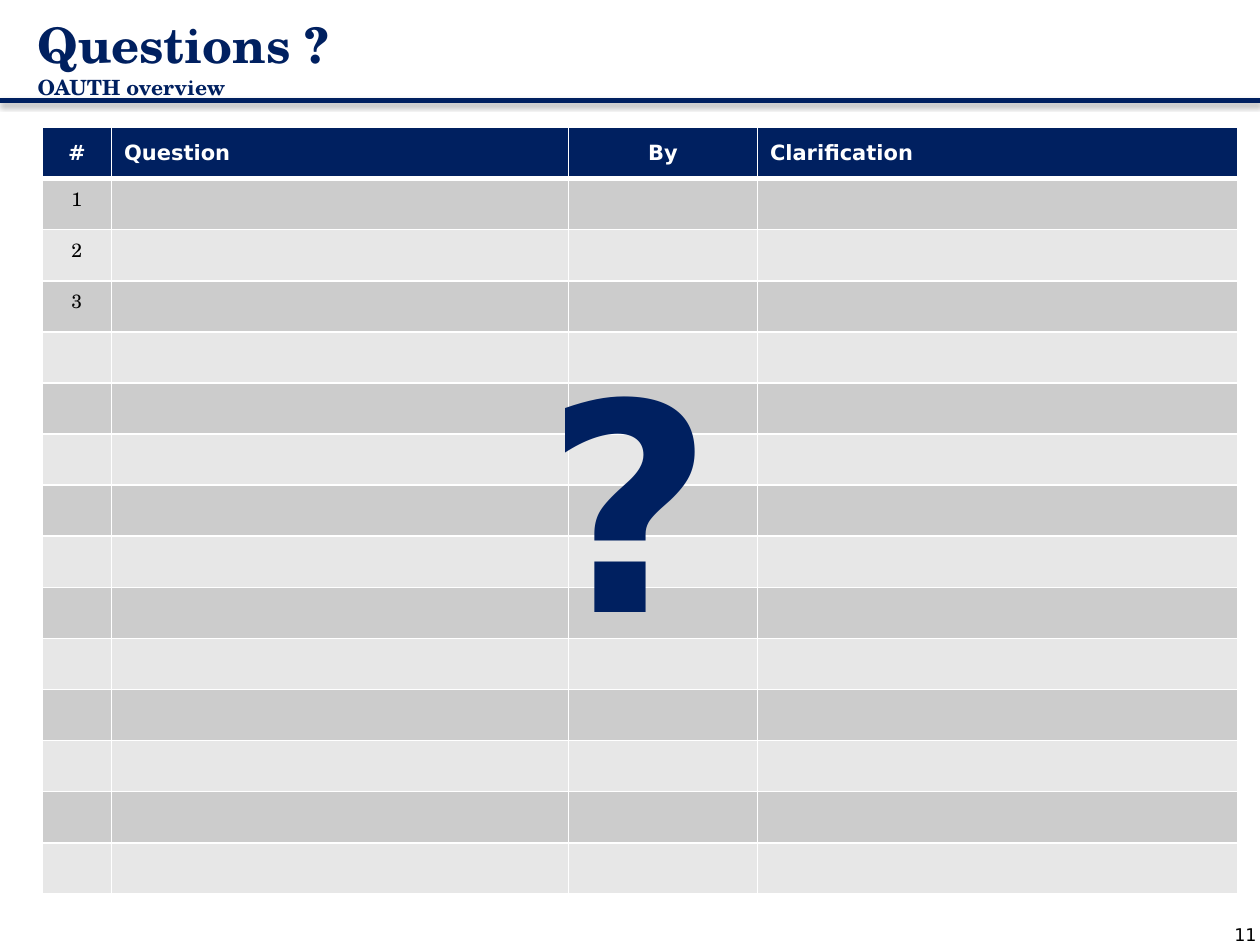
from dataclasses import dataclass

from lxml import etree
from pptx import Presentation
from pptx import util as u
from pptx.dml.color import RGBColor
from pptx.enum import shapes, text
from pptx.oxml import parse_xml
from pptx.oxml.ns import nsdecls, qn

NAVY, WHITE, BLACK = "002060", "FFFFFF", "000000"
BANDS = ("CCCCCC", "E7E7E7")
SANS, SERIF = "DejaVu Sans", "TeX Gyre Schola"
LEFT, CENTER, RIGHT = text.PP_ALIGN.LEFT, text.PP_ALIGN.CENTER, text.PP_ALIGN.RIGHT


@dataclass
class Column:
    title: str
    width: float
    align: text.PP_ALIGN


@dataclass
class Label:
    text: str
    box: tuple[float, float, float, float]
    sizes: tuple[float, ...]
    font: str
    color: str
    bold: bool = False
    align: text.PP_ALIGN = LEFT
    spacing: float = 1.0
    top_inset: float = 0.13
    bottom_inset: float = 0.13


COLUMNS = [
    Column("#", 1.4, CENTER),
    Column("Question", 9.21, LEFT),
    Column("By", 3.81, CENTER),
    Column("Clarification", 9.68, LEFT),
]
NUMBERS = ["1", "2", "3"]
BODY_ROWS = 14
ROW_HEIGHT = 1.03

TITLE = Label("Questions ?\vOAUTH overview", (0.51, 0.1, 24.26, 1.75), (28, 12),
              SERIF, NAVY, bold=True, spacing=1.05)
PAGE_NUMBER = Label("11", (23.32, 18.49, 2.26, 0.74), (10,), SANS, BLACK, align=RIGHT)
BIG_MARK = Label("?", (10.74, 6.02, 1.09, 7.34), (166,), SANS, NAVY, bold=True,
                 top_inset=0.48, bottom_inset=0.05)


def rgb(value: str) -> RGBColor:
    return RGBColor.from_string(value)


def style_run(r, size: float, font: str, color: str, bold: bool) -> None:
    r.font.size = u.Pt(size)
    r.font.name = font
    r.font.bold = bold
    r.font.color.rgb = rgb(color)


def add_label(s, label: Label) -> None:
    sp = s.shapes.add_textbox(*(u.Cm(v) for v in label.box))
    tf = sp.text_frame
    tf.word_wrap = True
    tf.vertical_anchor = text.MSO_ANCHOR.TOP
    tf.margin_top = u.Cm(label.top_inset)
    tf.margin_bottom = u.Cm(label.bottom_inset)
    p = tf.paragraphs[0]
    p.text = label.text
    p.alignment = label.align
    p.line_spacing = label.spacing
    for r, size in zip(p.runs, label.sizes):
        style_run(r, size, label.font, label.color, label.bold)


def set_borders(cell, top: float, bottom: float) -> None:
    tc_pr = cell._tc.get_or_add_tcPr()
    for side, width in (("L", 1), ("R", 1), ("T", top), ("B", bottom)):
        ln = etree.SubElement(tc_pr, qn(f"a:ln{side}"), w=str(u.Pt(width)))
        fill = etree.SubElement(ln, qn("a:solidFill"))
        etree.SubElement(fill, qn("a:srgbClr"), val=WHITE)


def fill_cell(cell, value: str, align: text.PP_ALIGN, row: int) -> None:
    header = row == 0
    set_borders(cell, 3 if row == 1 else 1, 3 if header else 1)
    cell.fill.solid()
    cell.fill.fore_color.rgb = rgb(NAVY if header else BANDS[(row - 1) % 2])
    if header:
        cell.vertical_anchor = text.MSO_ANCHOR.MIDDLE
    else:
        cell.margin_bottom = 0
    if value:
        p = cell.text_frame.paragraphs[0]
        p.text = value
        p.alignment = align
        if header:
            style_run(p.runs[0], 12, SANS, WHITE, True)
        else:
            style_run(p.runs[0], 11, SERIF, BLACK, False)


def add_question_table(s) -> None:
    rows = BODY_ROWS + 1
    width = sum(c.width for c in COLUMNS)
    table = s.shapes.add_table(rows, len(COLUMNS), u.Cm(0.85), u.Cm(2.57),
                               u.Cm(width), u.Cm(rows * ROW_HEIGHT)).table
    for row in table.rows:
        row.height = u.Cm(ROW_HEIGHT)
    for j, column in enumerate(COLUMNS):
        table.columns[j].width = u.Cm(column.width)
        numbers = NUMBERS if j == 0 else []
        values = [column.title, *numbers] + [""] * (BODY_ROWS - len(numbers))
        for i, value in enumerate(values):
            fill_cell(table.cell(i, j), value, column.align, i)


def add_title_rule(s, width: int) -> None:
    y = u.Cm(2.03)
    line = s.shapes.add_connector(shapes.MSO_CONNECTOR.STRAIGHT, 0, y, width, y)
    line.line.color.rgb = rgb(NAVY)
    line.line.width = u.Pt(3)
    line._element.spPr.append(parse_xml(
        f'<a:effectLst {nsdecls("a")}>'
        f'<a:outerShdw blurRad="{u.Pt(3.1)}" dist="{u.Pt(1.8)}" dir="5400000" rotWithShape="0">'
        f'<a:srgbClr val="{BLACK}"><a:alpha val="35000"/></a:srgbClr>'
        '</a:outerShdw></a:effectLst>'))


def main() -> None:
    prs = Presentation()
    prs.slide_width, prs.slide_height = u.Cm(25.4), u.Cm(19.05)
    s = prs.slides.add_slide(prs.slide_layouts[6])
    add_question_table(s)
    add_label(s, TITLE)
    add_label(s, PAGE_NUMBER)
    add_title_rule(s, prs.slide_width)
    add_label(s, BIG_MARK)
    prs.save("out.pptx")


if __name__ == "__main__":
    main()
